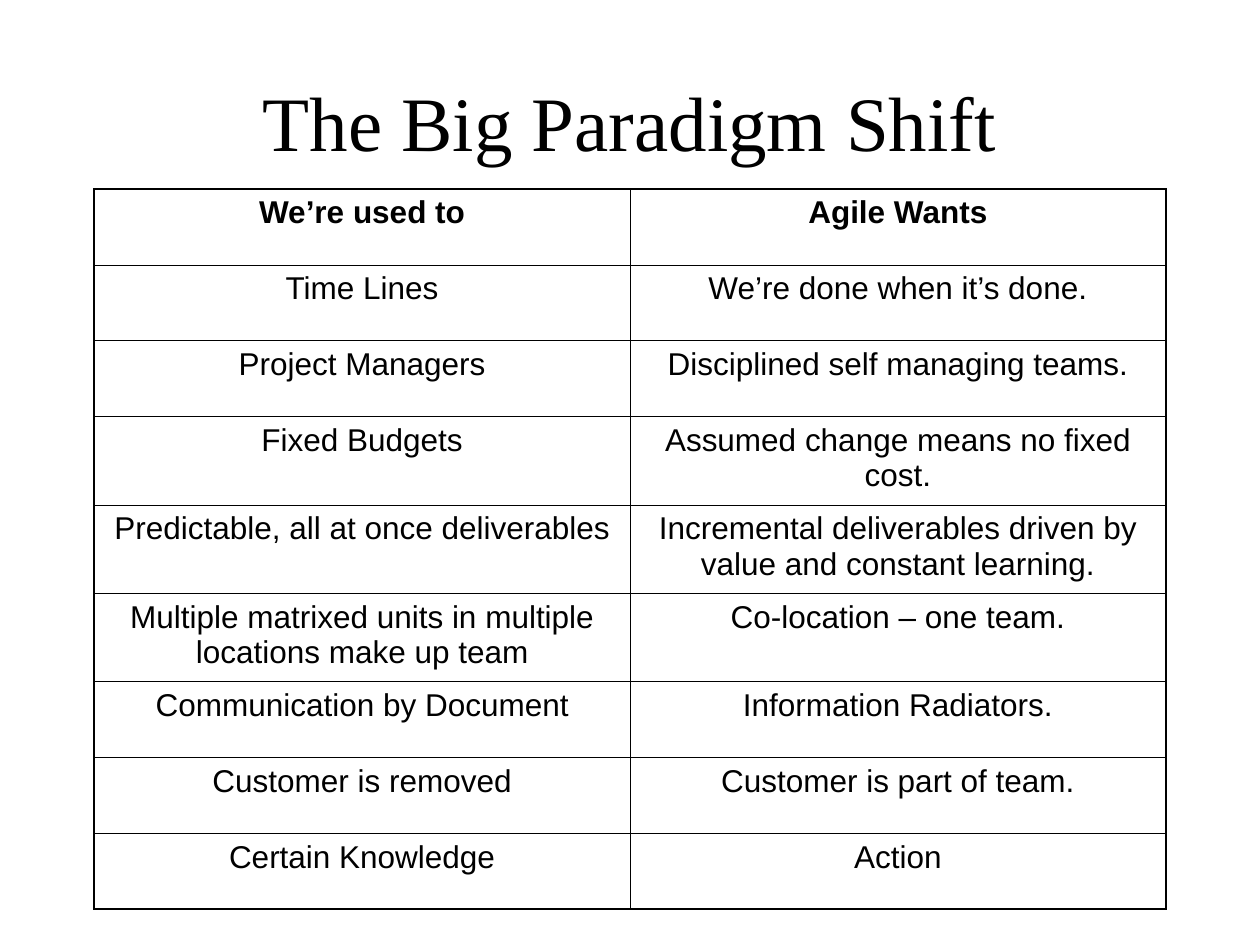
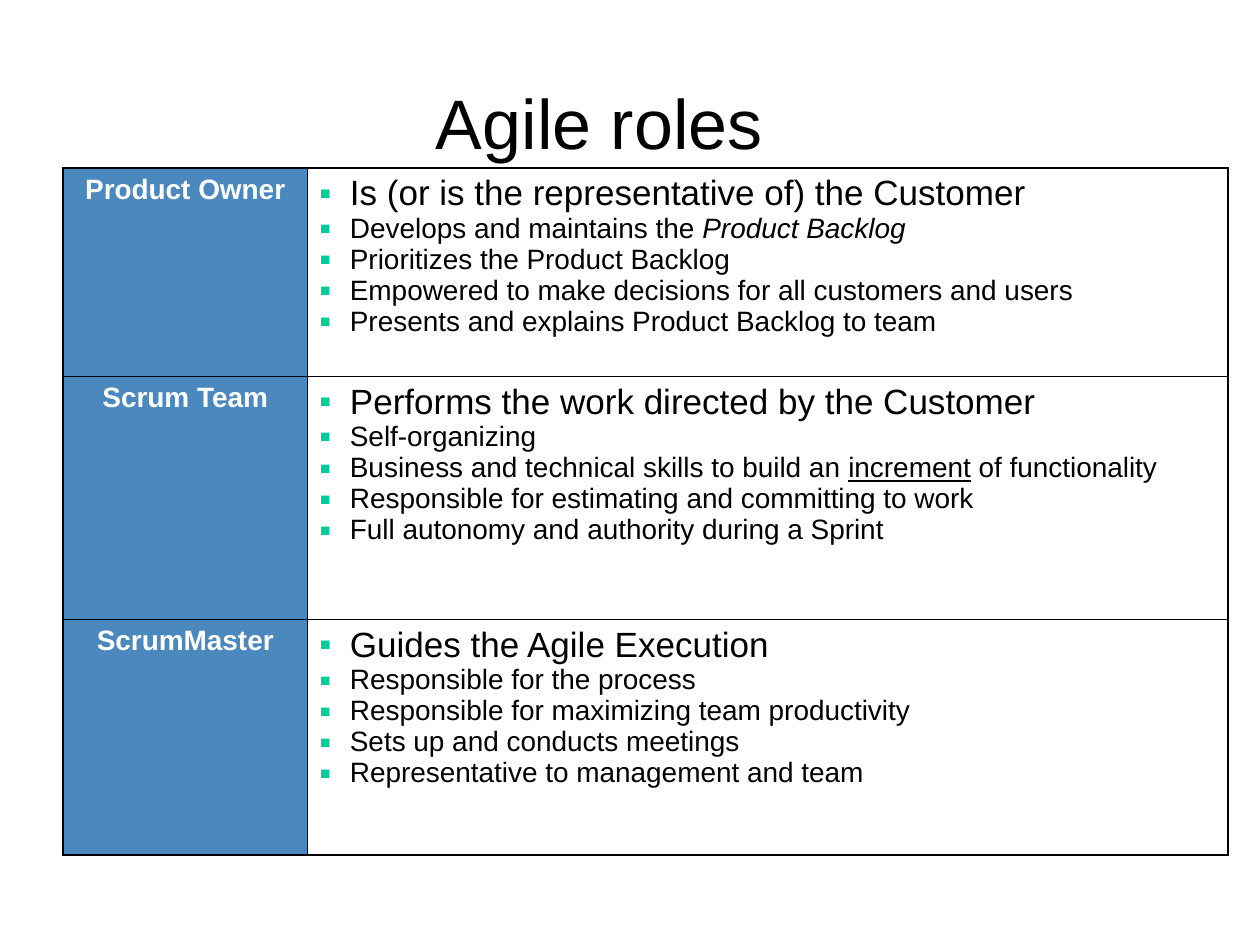
"""Builds two slides on agile: the paradigm shift and the agile roles."""
import pptx
import pptx.dml.color
import pptx.enum.text
import pptx.oxml
import pptx.oxml.ns
import pptx.util
from pptx.util import Cm, Pt

COLORS = {"ink": "000000", "role": "4B88BE", "role_text": "FFFFFF", "bullet": "00CC99"}
SANS, SERIF = "Arial", "Times New Roman"
OUTER_LINE, INNER_LINE = 1.08, 0.45

SHIFT_TITLE = "The Big Paradigm Shift"
SHIFTS = [
    ("We’re used to", "Agile Wants"),
    ("Time Lines", "We’re done when it’s done."),
    ("Project Managers", "Disciplined self managing teams."),
    ("Fixed Budgets", "Assumed change means no fixed cost."),
    ("Predictable, all at once deliverables",
     "Incremental deliverables driven by value and constant learning."),
    ("Multiple matrixed units in multiple locations make up team", "Co-location – one team."),
    ("Communication by Document", "Information Radiators."),
    ("Customer is removed", "Customer is part of team."),
    ("Certain Knowledge", "Action"),
]
TALL_SHIFTS = (3, 4, 5)

ROLES_TITLE = "Agile roles"
ROLES = [
    ("Product Owner", 4.2, [
        ["Is (or is the representative of) the Customer"],
        ["Develops and maintains the ", ("Product Backlog", "italic")],
        ["Prioritizes the Product Backlog"],
        ["Empowered to make decisions for all customers and users"],
        ["Presents and explains Product Backlog to team"]]),
    ("Scrum Team", 4.9, [
        ["Performs the work directed by the Customer"],
        ["Self-organizing"],
        ["Business and technical skills to build an ", ("increment", "underline"),
         " of functionality"],
        ["Responsible for estimating and committing to work"],
        ["Full autonomy and authority during a Sprint"]]),
    ("ScrumMaster", 4.75, [
        ["Guides the Agile Execution"],
        ["Responsible for the process"],
        ["Responsible for maximizing team productivity"],
        ["Sets up and conducts meetings"],
        ["Representative to management and team"]]),
]


def rgb(name):
    return pptx.dml.color.RGBColor.from_string(COLORS[name])


def xml(tag, content="", **attributes):
    listed = "".join(f' {key}="{value}"' for key, value in attributes.items())
    return pptx.oxml.parse_xml(
        f'<a:{tag} {pptx.oxml.ns.nsdecls("a")}{listed}>{content}</a:{tag}>')


def style(paragraph, size, color="ink", font=SANS, bold=False, centered=True):
    if centered:
        paragraph.alignment = pptx.enum.text.PP_ALIGN.CENTER
    for run in paragraph.runs:
        run.font.size, run.font.name, run.font.bold = Pt(size), font, bold
        run.font.color.rgb = rgb(color)


def add_title(slide, text, place, size, font, anchor):
    frame = slide.shapes.add_textbox(*map(Cm, place)).text_frame
    frame.word_wrap = True
    frame.vertical_anchor = anchor
    frame.text = text
    style(frame.paragraphs[0], size, font=font)


def draw_borders(cell, outer_sides):
    for side in "LRTB":
        width = OUTER_LINE if side in outer_sides else INNER_LINE
        cell._tc.get_or_add_tcPr().append(xml(
            f"ln{side}", f'<a:solidFill><a:srgbClr val="{COLORS["ink"]}"/></a:solidFill>',
            w=int(Pt(width))))


def add_grid(slide, left, top, widths, heights):
    grid = slide.shapes.add_table(
        len(heights), len(widths), Cm(left), Cm(top), Cm(sum(widths)), Cm(sum(heights))).table
    grid.first_row = grid.horz_banding = False
    for column, width in zip(grid.columns, widths):
        column.width = Cm(width)
    for row, height in zip(grid.rows, heights):
        row.height = Cm(height)
    last_row, last_column = len(heights) - 1, len(widths) - 1
    for r in range(len(heights)):
        for c in range(len(widths)):
            edges = {"L": c == 0, "R": c == last_column, "T": r == 0, "B": r == last_row}
            cell = grid.cell(r, c)
            draw_borders(cell, [side for side, outer in edges.items() if outer])
            cell.fill.background()
    return grid


def add_bullet(paragraph, percent):
    properties = paragraph._p.get_or_add_pPr()
    properties.set("marL", str(int(Cm(0.6))))
    properties.set("indent", str(int(Cm(-0.6))))
    properties.append(xml("buClr", f'<a:srgbClr val="{COLORS["bullet"]}"/>'))
    properties.append(xml("buSzPct", val=percent * 1000))
    properties.append(xml("buFont", typeface=SANS))
    properties.append(xml("buChar", char="■"))


def write_duties(frame, duties):
    for index, duty in enumerate(duties):
        paragraph = frame.add_paragraph() if index else frame.paragraphs[0]
        for part in duty:
            text, emphasis = (part, None) if isinstance(part, str) else part
            run = paragraph.add_run()
            run.text = text
            if emphasis:
                setattr(run.font, emphasis, True)
        size, percent = (16, 62) if index else (20, 50)
        style(paragraph, size, centered=False)
        add_bullet(paragraph, percent)


def build_shift(slide):
    add_title(slide, SHIFT_TITLE, (1.9, 0.84, 21.59, 3.18), 44, SERIF,
              pptx.enum.text.MSO_ANCHOR.MIDDLE)
    heights = [1.78 if r in TALL_SHIFTS else 1.53 for r in range(len(SHIFTS))]
    grid = add_grid(slide, 1.9, 3.81, [10.8, 10.8], heights)
    for r, pair in enumerate(SHIFTS):
        for c, text in enumerate(pair):
            frame = grid.cell(r, c).text_frame
            frame.text = text
            frame.paragraphs[0].space_before = Pt(4.5)
            style(frame.paragraphs[0], 18, bold=r == 0)


def build_roles(slide):
    add_title(slide, ROLES_TITLE, (2.34, 1.47, 19.48, 1.9), 40, SANS,
              pptx.enum.text.MSO_ANCHOR.TOP)
    grid = add_grid(slide, 1.27, 3.38, [4.93, 18.56], [height for _, height, _ in ROLES])
    for r, (role, _, duties) in enumerate(ROLES):
        role_cell = grid.cell(r, 0)
        role_cell.fill.solid()
        role_cell.fill.fore_color.rgb = rgb("role")
        role_cell.text_frame.text = role
        style(role_cell.text_frame.paragraphs[0], 16, "role_text", bold=True)
        write_duties(grid.cell(r, 1).text_frame, duties)


def main():
    deck = pptx.Presentation()
    deck.slide_width, deck.slide_height = Cm(25.4), Cm(19.05)
    for build in (build_shift, build_roles):
        build(deck.slides.add_slide(deck.slide_layouts[6]))
    deck.save("out.pptx")


if __name__ == "__main__":
    main()
